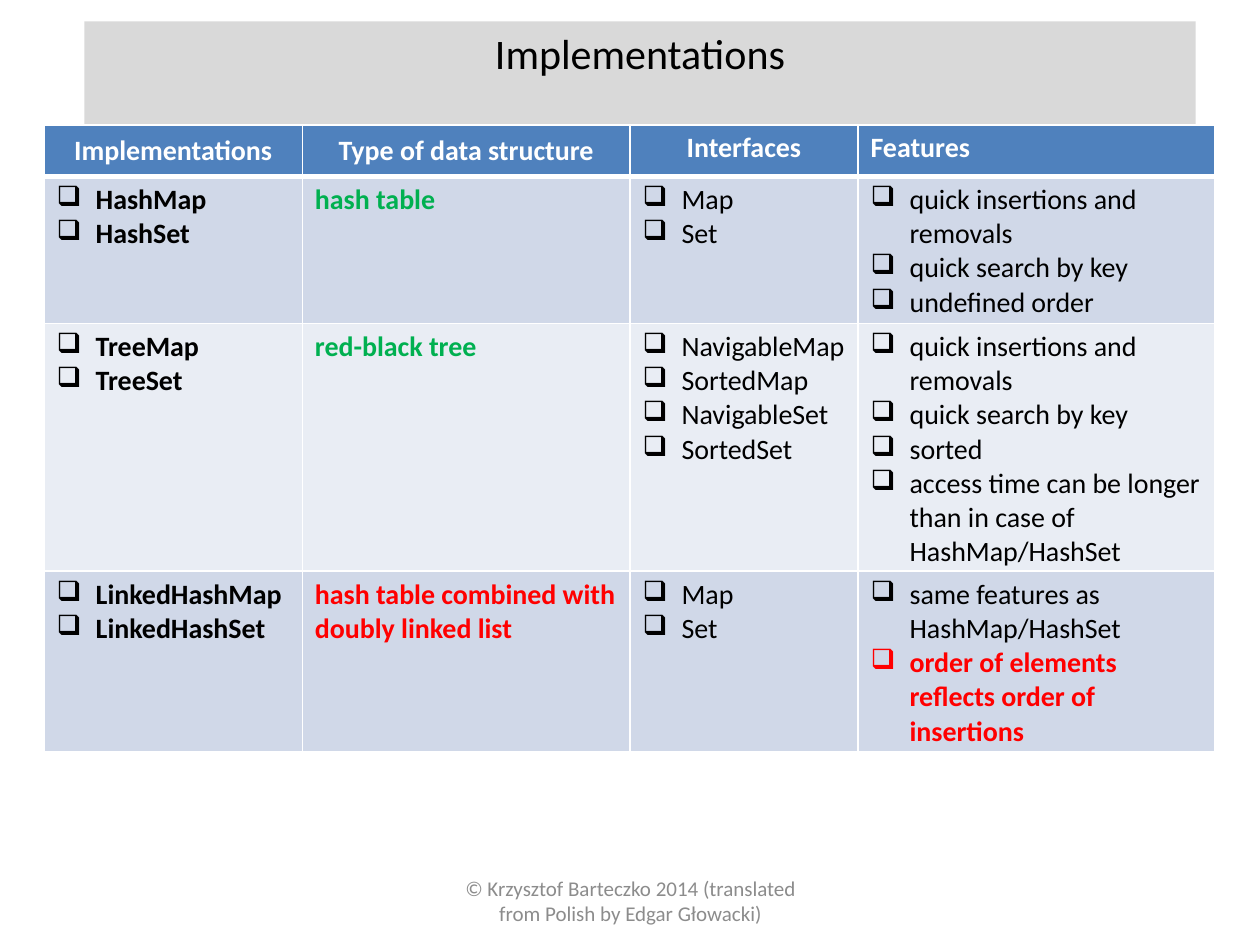
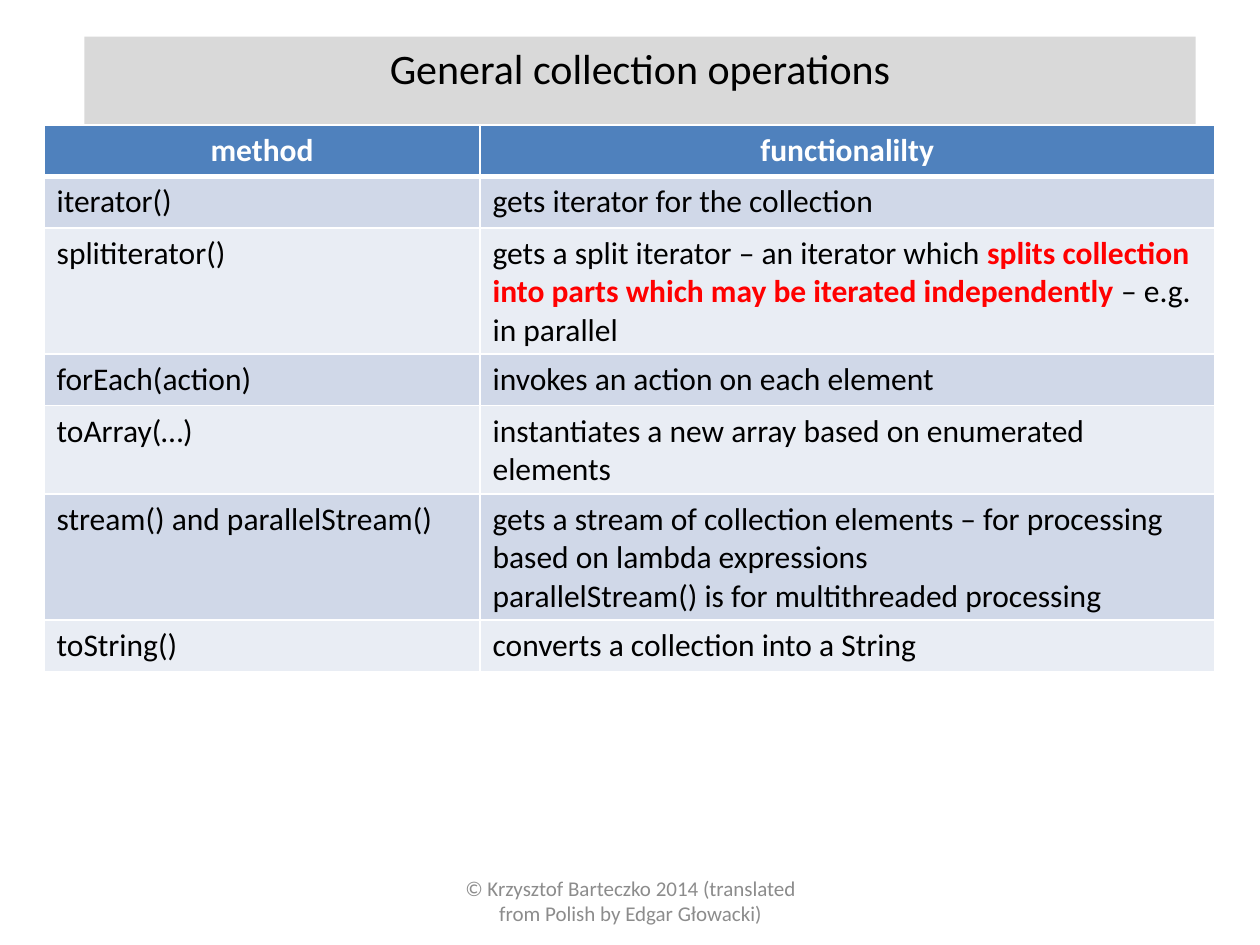
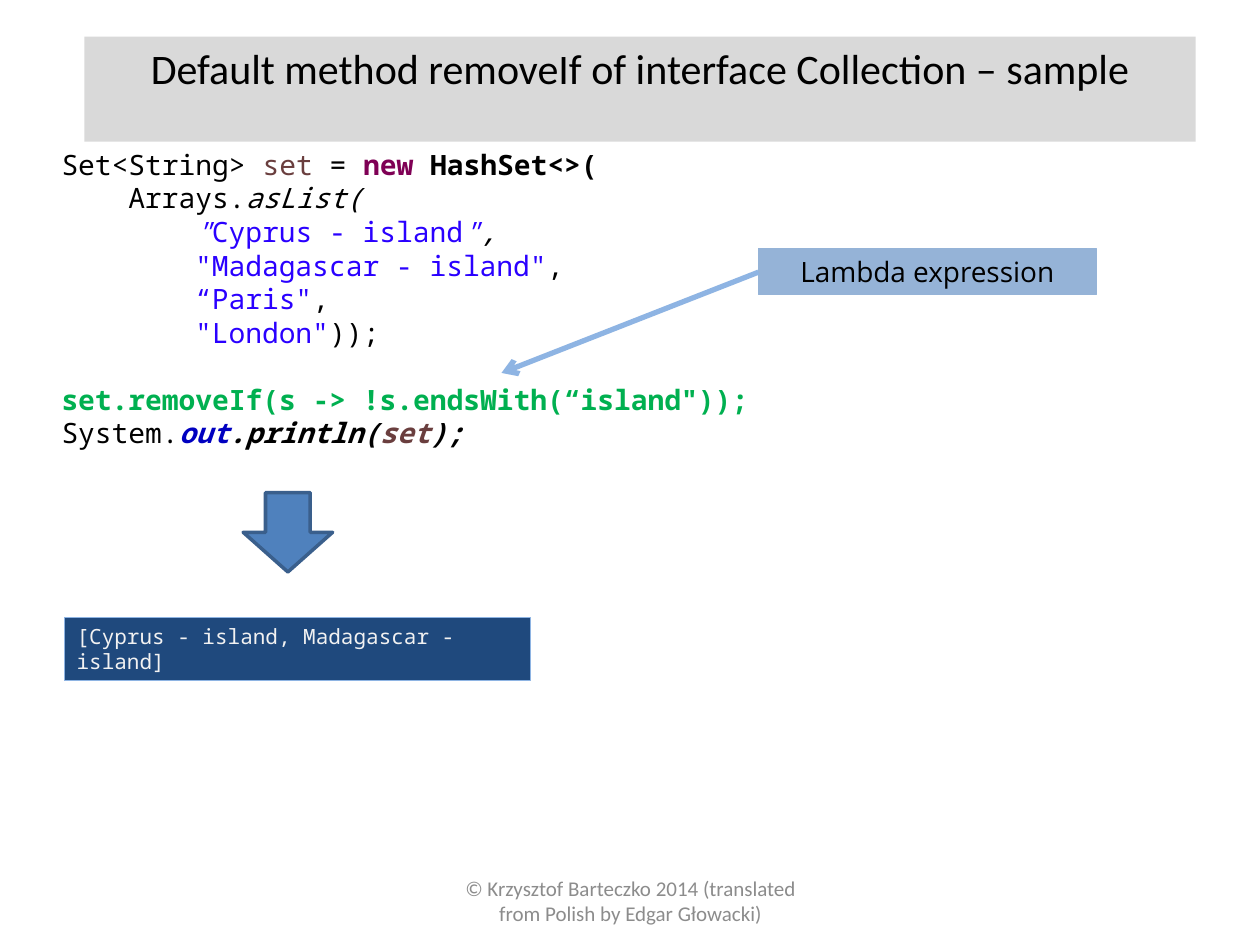
"""Three slides on Java collections: implementations, operations, removeIf."""
from dataclasses import dataclass

import pptx
import pptx.dml.color
import pptx.enum.shapes
import pptx.enum.text
import pptx.oxml.ns
import pptx.util
from lxml import etree

Inches, Pt = pptx.util.Inches, pptx.util.Pt
ALIGN = pptx.enum.text.PP_ALIGN
ANCHOR = pptx.enum.text.MSO_ANCHOR
AUTO_SIZE = pptx.enum.text.MSO_AUTO_SIZE
SHAPE = pptx.enum.shapes.MSO_SHAPE
qn = pptx.oxml.ns.qn


@dataclass(frozen=True)
class Theme:
    """Colours, fonts and type sizes of the deck."""
    black: str = "000000"
    white: str = "FFFFFF"
    band: str = "D9D9D9"
    footer: str = "8C8C8C"
    accent: str = "4F81BD"
    accent_edge: str = "3A5F8C"
    row_bands: tuple = ("D0D8E8", "E9EDF4")
    green: str = "00B050"
    red: str = "FF0000"
    callout: str = "95B3D7"
    pointer: str = "8EB4E3"
    console: str = "1F497D"
    console_text: str = "F2F2F2"
    variable: str = "6A3E3E"
    keyword: str = "7F0055"
    string: str = "2A00FF"
    field: str = "0000C0"
    body_font: str = "Calibri"
    code_font: str = "Noto Sans Mono"
    callout_font: str = "Open Sans"
    title_size: int = 24
    large_size: int = 18
    text_size: int = 16
    small_size: int = 12


T = Theme()
FOOTER = "© Krzysztof Barteczko 2014 (translated from Polish by Edgar Głowacki)"
GREEN = dict(color=T.green, bold=True)
RED = dict(color=T.red, bold=True)
STRING = dict(color=T.string)
BOLD = dict(bold=True)
ITALIC = dict(italic=True)
BOLD_ITALIC = dict(bold=True, italic=True)


@dataclass
class Para:
    """A paragraph: (text, format) runs plus its layout."""
    runs: list
    align: object = ALIGN.LEFT
    bullet: bool = False
    indent: float = 0
    before: float = 0


def line(text, align=ALIGN.LEFT, **fmt):
    """Return a paragraph with one run."""
    return Para([(text, fmt)], align)


def bullets(*texts, **fmt):
    """Return one bulleted paragraph per text."""
    return [Para([(text, fmt)], bullet=True, indent=0.31) for text in texts]


def rgb(value):
    """Turn a hex string into a colour."""
    return pptx.dml.color.RGBColor.from_string(value)


class Deck:
    """Holds the presentation, its theme and the current slide."""

    def __init__(self):
        """Start an empty deck."""
        self.prs = pptx.Presentation()
        self.prs.slide_width, self.prs.slide_height = Inches(10), Inches(7.5)
        self.s = None

    def new_slide(self, title, top=0.29):
        """Add a slide with its title band and footer."""
        self.s = self.prs.slides.add_slide(self.prs.slide_layouts[5])
        sp = self.s.shapes.title
        sp.left, sp.top, sp.width, sp.height = map(Inches, (0.67, top, 8.82, 0.5))
        self.paint(sp, T.band)
        self.set_text(sp.text_frame, [line(title, ALIGN.CENTER)],
                      dict(size=T.title_size),
                      auto_size=AUTO_SIZE.SHAPE_TO_FIT_TEXT)
        self.text((3.42, 6.95, 3.17, 0.4), [line(FOOTER, ALIGN.CENTER)],
                  dict(size=T.small_size, color=T.footer),
                  vertical_anchor=ANCHOR.MIDDLE)

    def paint(self, sp, fill, edge=None, width=0.75):
        """Set the fill and outline of a shape."""
        sp.fill.solid()
        sp.fill.fore_color.rgb = rgb(fill)
        if edge:
            sp.line.color.rgb = rgb(edge)
            sp.line.width = Pt(width)
        else:
            sp.line.fill.background()

    def set_text(self, tf, paras, base, **frame):
        """Fill a text frame; run formats override the base format."""
        settings = dict(word_wrap=True, vertical_anchor=ANCHOR.TOP) | frame
        for name, value in settings.items():
            setattr(tf, name, value)
        for i, para in enumerate(paras):
            p = tf.paragraphs[0] if i == 0 else tf.add_paragraph()
            p.alignment = para.align
            pPr = p._p.get_or_add_pPr()
            if para.before:
                p.space_before = Pt(para.before)
            if para.indent:
                pPr.set("marL", str(Inches(para.indent)))
            if para.bullet:
                pPr.set("indent", str(-Inches(para.indent)))
                etree.SubElement(pPr, qn("a:buChar"), char="❑")
            for text, fmt in para.runs:
                r = p.add_run()
                r.text = text
                self.style(r.font, base | fmt)

    def style(self, font, fmt):
        """Apply a dict of format values to a font."""
        values = dict(name=T.body_font, color=T.black, bold=False) | fmt
        font.color.rgb = rgb(values.pop("color"))
        values["size"] = Pt(values["size"])
        for name, value in values.items():
            setattr(font, name, value)

    def text(self, at, paras, base, **frame):
        """Add a text box."""
        sp = self.s.shapes.add_textbox(*map(Inches, at))
        self.set_text(sp.text_frame, paras, base, **frame)

    def shape(self, kind, at, fill, edge, width=0.75, paras=(), base=None):
        """Add a preset shape, with text if there is any."""
        sp = self.s.shapes.add_shape(kind, *map(Inches, at))
        sp.shadow.inherit = False
        self.paint(sp, fill, edge, width)
        if paras:
            self.set_text(sp.text_frame, paras, base,
                          auto_size=AUTO_SIZE.SHAPE_TO_FIT_TEXT)

    def arrow(self, start, end, color, width):
        """Add a straight line with an open arrowhead at its end."""
        cx = self.s.shapes.add_connector(
            pptx.enum.shapes.MSO_CONNECTOR.STRAIGHT, *map(Inches, start + end))
        cx.line.color.rgb = rgb(color)
        cx.line.width = Pt(width)
        spPr = cx._element.spPr
        etree.SubElement(spPr.find(qn("a:ln")), qn("a:tailEnd"), type="arrow")
        etree.SubElement(spPr, qn("a:effectLst"))

    def borders(self, cell, **widths):
        """Give a cell white borders, one width in points per side."""
        tcPr = cell._tc.get_or_add_tcPr()
        for side in "LRTB":
            ln = etree.SubElement(tcPr, qn("a:ln" + side),
                                  w=str(Pt(widths.get(side, 1))))
            fill = etree.SubElement(ln, qn("a:solidFill"))
            etree.SubElement(fill, qn("a:srgbClr"), val=T.white)

    def table(self, height, widths, header, rows, size):
        """Add a banded table; header holds (paragraph, anchor) pairs."""
        frame = self.s.shapes.add_table(
            len(rows) + 1, len(widths), Inches(0.35), Inches(0.99),
            Inches(sum(widths)), Inches(height))
        tbl = frame.table
        for column, width in zip(tbl.columns, widths):
            column.width = Inches(width)
        for row in tbl.rows:
            row.height = Inches(0.41)
        frame.height = Inches(height)
        head = dict(size=size, color=T.white, bold=True)
        for c, (para, anchor) in enumerate(header):
            self.cell(tbl.cell(0, c), [para], head, T.accent, anchor, B=3)
        for r, row in enumerate(rows, 1):
            fill = T.row_bands[(r - 1) % 2]
            for c, paras in enumerate(row):
                self.cell(tbl.cell(r, c), paras, dict(size=size), fill,
                          ANCHOR.TOP, T=3 if r == 1 else 1)

    def cell(self, cell, paras, base, fill, anchor, **widths):
        """Fill one table cell with text, colour and borders."""
        self.borders(cell, **widths)
        cell.fill.solid()
        cell.fill.fore_color.rgb = rgb(fill)
        self.set_text(cell.text_frame, paras, base)
        cell.vertical_anchor = anchor


def implementations(deck):
    """Build the table of collection implementations."""
    deck.new_slide("Implementations", top=0.17)
    header = [(line("Implementations", ALIGN.CENTER), ANCHOR.MIDDLE),
              (line("Type of data structure", ALIGN.CENTER), ANCHOR.MIDDLE),
              (line("Interfaces", ALIGN.CENTER), ANCHOR.TOP),
              (line("Features"), ANCHOR.TOP)]
    quick = ("quick insertions and removals", "quick search by key")
    rows = [
        [bullets("HashMap", "HashSet", **BOLD),
         [line("hash table", **GREEN)],
         bullets("Map", "Set"),
         bullets(*quick, "undefined order")],
        [bullets("TreeMap", "TreeSet", **BOLD),
         [line("red-black tree", **GREEN)],
         bullets("NavigableMap", "SortedMap", "NavigableSet", "SortedSet"),
         bullets(*quick, "sorted", "access time can be longer than in case of "
                 "HashMap/HashSet")],
        [bullets("LinkedHashMap", "LinkedHashSet", **BOLD),
         [line("hash table combined with doubly linked list", **RED)],
         bullets("Map", "Set"),
         bullets("same features as HashMap/HashSet")
         + bullets("order of elements reflects order of insertions", **RED)],
    ]
    deck.table(4.97, (2.05, 2.6, 1.81, 2.83), header, rows, T.text_size)


def operations(deck):
    """Build the table of general collection methods."""
    deck.new_slide("General collection operations")
    header = [(line(text, ALIGN.CENTER), ANCHOR.MIDDLE)
              for text in ("method", "functionalilty")]
    split = Para([
        ("gets a split iterator – an iterator which ", {}),
        ("splits collection into parts which may be iterated independently ", RED),
        ("– e.g. in parallel", {})])
    methods = [
        ("iterator()", [line("gets iterator for the collection")]),
        ("splititerator()", [split]),
        ("forEach(action)", [line("invokes an action on each element")]),
        ("toArray(…)",
         [line("instantiates a new array based on enumerated elements")]),
        ("stream() and parallelStream()",
         [line("gets a stream of collection elements – for processing based on "
               "lambda expressions"),
          line("parallelStream() is for multithreaded processing")]),
        ("toString()", [line("converts a collection into a String")]),
    ]
    rows = [[[line(name)], paras] for name, paras in methods]
    deck.table(4.32, (3.46, 5.83), header, rows, T.large_size)


def remove_if(deck):
    """Build the removeIf code sample with its output."""
    deck.new_slide("Default method removeIf of interface Collection – sample")
    step = 0.53
    variable = dict(color=T.variable)
    code = [
        Para([("Set<String> ", {}), ("set", variable), (" = ", {}),
              ("new ", dict(color=T.keyword, bold=True)), ("HashSet<>(", BOLD)]),
        Para([("Arrays.", {}), ("asList(", ITALIC)], indent=step),
        Para([('"', STRING | ITALIC), ("Cyprus - island", STRING),
              ('"', STRING | ITALIC), (",", ITALIC)], indent=2 * step),
    ]
    for text, end in (('"Madagascar - island"', ","), ('“Paris"', ","),
                      ('"London"', "));")):
        code.append(Para([(text, STRING), (end, {})], indent=2 * step))
    code += [
        Para([('set.removeIf(s -> !s.endsWith(“island"));', GREEN)], before=19.2),
        Para([("System.", {}), ("out", BOLD_ITALIC | dict(color=T.field)),
              (".println(", BOLD_ITALIC), ("set", BOLD_ITALIC | variable),
              (");", BOLD_ITALIC)]),
    ]
    deck.text((0.39, 1.12, 9.37, 2.52), code,
              dict(name=T.code_font, size=T.text_size),
              auto_size=AUTO_SIZE.SHAPE_TO_FIT_TEXT)
    deck.shape(SHAPE.RECTANGLE, (0.51, 4.9, 3.7, 0.5), T.console, T.pointer,
               paras=[line("[Cyprus - island, Madagascar - island]")],
               base=dict(name=T.code_font, size=T.small_size,
                         color=T.console_text))
    deck.shape(SHAPE.DOWN_ARROW, (1.93, 3.91, 0.71, 0.63), T.accent,
               T.accent_edge, 2)
    deck.shape(SHAPE.RECTANGLE, (6.02, 1.97, 2.68, 0.37), T.callout, T.callout,
               paras=[line("Lambda expression", ALIGN.CENTER)],
               base=dict(name=T.callout_font, size=T.text_size))
    deck.arrow((6.02, 2.16), (3.98, 2.96), T.pointer, 3)


def main():
    """Build and save the deck."""
    deck = Deck()
    for build in (implementations, operations, remove_if):
        build(deck)
    deck.prs.save("out.pptx")


main()
